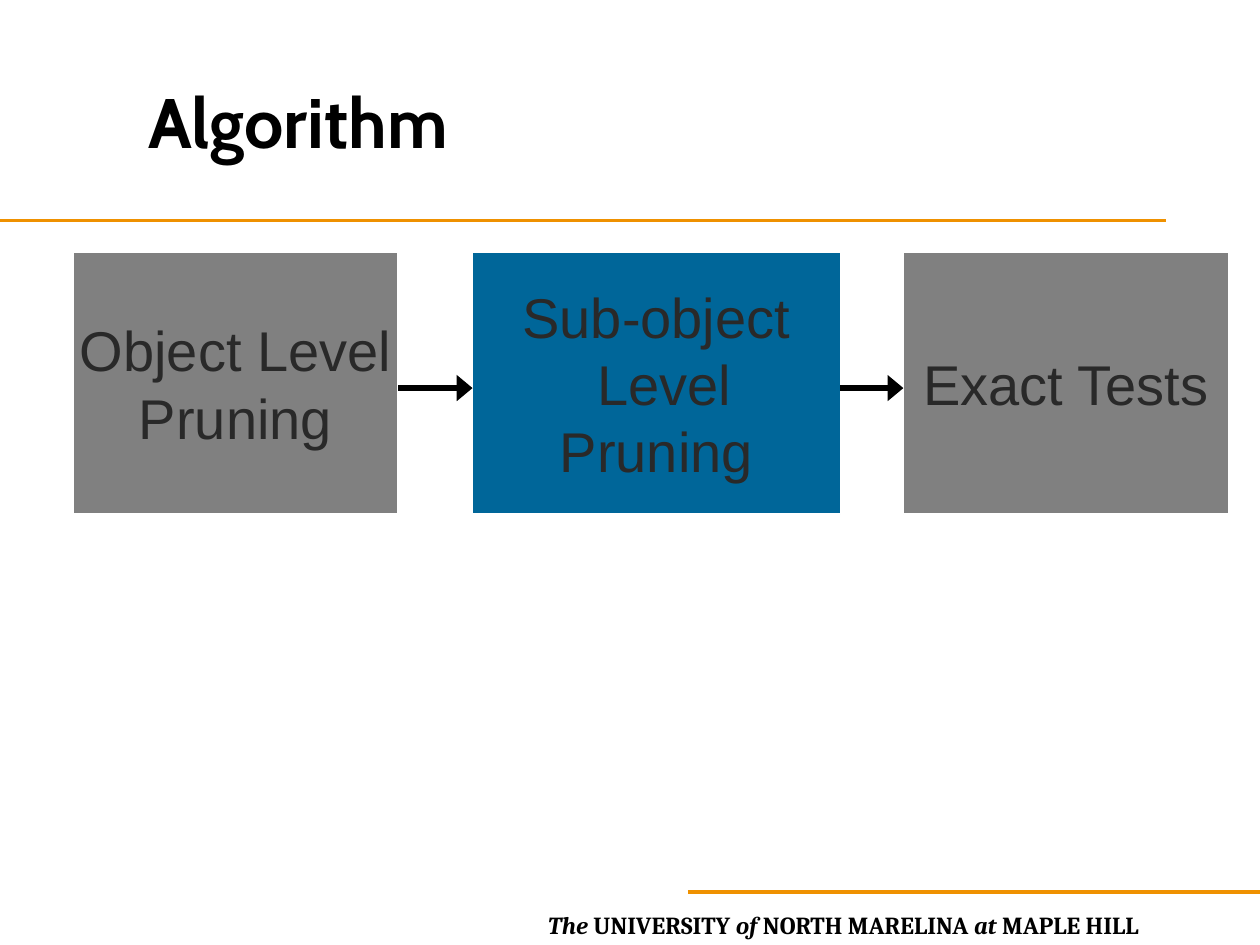
from pptx import Presentation
from pptx.dml.color import RGBColor
from pptx.enum.shapes import MSO_CONNECTOR, MSO_SHAPE
from pptx.enum.text import MSO_ANCHOR, MSO_AUTO_SIZE, PP_ALIGN
from pptx.oxml.ns import qn
from pptx.util import Inches, Pt
from lxml import etree

BLACK = RGBColor(0x00, 0x00, 0x00)
WHITE = RGBColor(0xFF, 0xFF, 0xFF)
CHARCOAL = RGBColor(0x29, 0x29, 0x29)
GRAY = RGBColor(0x80, 0x80, 0x80)
BLUE = RGBColor(0x00, 0x66, 0x99)
ORANGE = RGBColor(0xEF, 0x91, 0x00)


class SlideBuilder:
    """Holds the text styles and the current slide."""

    TITLE = {"name": "Cabin", "size": Pt(40), "bold": True}
    BOX = {"name": "Arial", "size": Pt(32)}
    FOOTER = {"name": "Cambria", "size": Pt(14), "bold": True}

    def __init__(self, prs):
        self.s = prs.slides.add_slide(prs.slide_layouts[5])

    def format_run(self, r, style, color):
        for name, value in style.items():
            setattr(r.font, name, value)
        r.font.color.rgb = color

    def title(self, text, left, top, width, height):
        sp = self.s.shapes.title
        sp.left, sp.top = Inches(left), Inches(top)
        sp.width, sp.height = Inches(width), Inches(height)
        tf = sp.text_frame
        tf.text = text
        tf.vertical_anchor = MSO_ANCHOR.MIDDLE
        p = tf.paragraphs[0]
        p.alignment = PP_ALIGN.LEFT
        self.format_run(p.runs[0], self.TITLE, BLACK)

    def line(self, x1, x2, y, color, weight, arrow=False):
        sp = self.s.shapes.add_connector(
            MSO_CONNECTOR.STRAIGHT, Inches(x1), Inches(y), Inches(x2), Inches(y))
        sp.line.color.rgb = color
        sp.line.width = Pt(weight)
        if arrow:
            ln = sp.line._get_or_add_ln()
            etree.SubElement(ln, qn("a:tailEnd"), type="triangle", w="lg", len="med")
        etree.SubElement(sp._element.spPr, qn("a:effectLst"))

    def box(self, text, left, top, width, height, fill):
        sp = self.s.shapes.add_shape(
            MSO_SHAPE.RECTANGLE, Inches(left), Inches(top), Inches(width), Inches(height))
        sp.shadow.inherit = False
        sp.fill.solid()
        sp.fill.fore_color.rgb = fill
        sp.line.color.rgb = WHITE
        sp.line.width = Pt(1)
        tf = sp.text_frame
        tf.word_wrap = False
        tf.vertical_anchor = MSO_ANCHOR.MIDDLE
        p = tf.paragraphs[0]
        p.text = text
        p.alignment = PP_ALIGN.CENTER
        for r in p.runs:
            self.format_run(r, self.BOX, CHARCOAL)

    def footer(self, parts, left, top, width, height):
        sp = self.s.shapes.add_textbox(
            Inches(left), Inches(top), Inches(width), Inches(height))
        tf = sp.text_frame
        tf.word_wrap = True
        tf.auto_size = MSO_AUTO_SIZE.SHAPE_TO_FIT_TEXT
        for text, italic in parts:
            r = tf.paragraphs[0].add_run()
            r.text = text
            self.format_run(r, {**self.FOOTER, "italic": italic}, BLACK)


def main():
    prs = Presentation()
    prs.slide_width, prs.slide_height = Inches(10), Inches(7.5)
    slide = SlideBuilder(prs)

    # Rules and footer
    slide.line(0, 9.25, 1.75, ORANGE, 2)
    slide.footer([("The", True), (" UNIVERSITY ", False),
                  ("of ", True), ("NORTH MARELINA ", False),
                  ("at ", True), ("MAPLE HILL", False)], 4.25, 7.17, 5.75, 0.34)
    slide.line(5.46, 10, 7.08, ORANGE, 2)

    # Title
    slide.title("Algorithm", 1.08, 0.5, 8.08, 0.92)

    # Pipeline stages
    top, height = 2, 2.08
    stages = [("Object Level\vPruning", 0.58, 2.58, GRAY),
              ("Sub-object\v Level\vPruning", 3.75, 2.92, BLUE),
              ("Exact Tests", 7.17, 2.58, GRAY)]
    for text, left, width, fill in stages:
        slide.box(text, left, top, width, height, fill)

    # Arrows from each stage to the next
    for (_, left, width, _), (_, next_left, _, _) in zip(stages, stages[1:]):
        slide.line(left + width, next_left, 3.08, BLACK, 3, arrow=True)

    prs.save("out.pptx")


if __name__ == "__main__":
    main()
